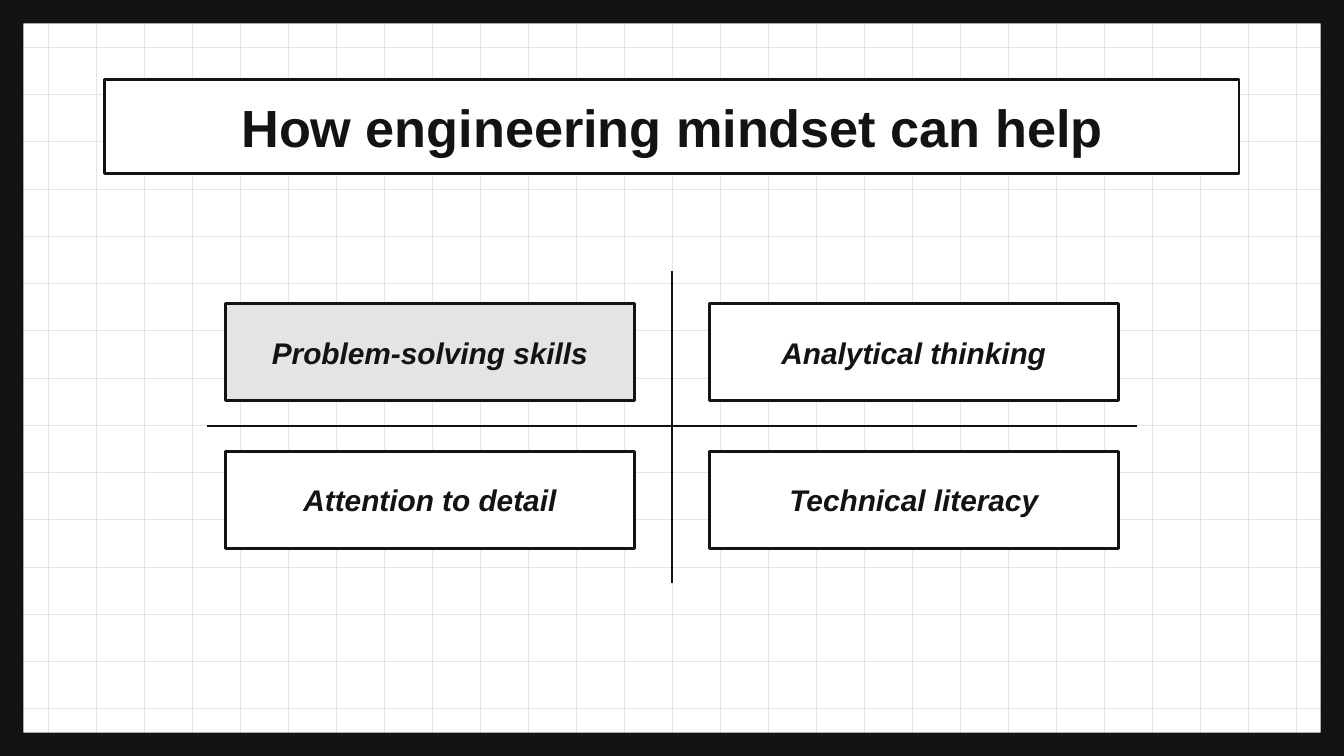
from pptx import Presentation
from pptx.dml.color import RGBColor
from pptx.enum import shapes, text
from pptx.oxml.ns import qn
from pptx.util import Inches, Pt
from lxml import etree

INK = RGBColor(0x13, 0x13, 0x13)
GRAY = RGBColor(0xE4, 0xE4, 0xE4)
WHITE = RGBColor(0xFF, 0xFF, 0xFF)
FONT = "Arial"

TITLE = "How engineering mindset can help"
SKILLS = [
    [("Problem-solving skills", GRAY), ("Analytical thinking", WHITE)],
    [("Attention to detail", WHITE), ("Technical literacy", WHITE)],
]

WIDTH = 10
HEIGHT = WIDTH * 9 / 16
GRID_COLUMNS, GRID_ROWS = 28, 16
CARD_WIDTH, CARD_HEIGHT = 3.04, 0.72
CARD_LEFT, CARD_TOP = 1.68, 2.26
COLUMN_STEP, ROW_STEP = 3.6, 1.1


def add_line(slide, x1, y1, x2, y2, color, weight):
    line = slide.shapes.add_connector(
        shapes.MSO_CONNECTOR.STRAIGHT,
        Inches(x1), Inches(y1), Inches(x2), Inches(y2))
    line.line.color.rgb = color
    line.line.width = Pt(weight)
    etree.SubElement(line._element.spPr, qn("a:effectLst"))


def add_box(slide, label, left, top, width, height, fill, size, italic=False):
    box = slide.shapes.add_shape(
        shapes.MSO_SHAPE.RECTANGLE,
        Inches(left), Inches(top), Inches(width), Inches(height))
    box.shadow.inherit = False
    box.fill.solid()
    box.fill.fore_color.rgb = fill
    box.line.color.rgb = INK
    box.line.width = Pt(1.5)

    frame = box.text_frame
    frame.text = label
    frame.word_wrap = True
    frame.vertical_anchor = text.MSO_ANCHOR.MIDDLE
    frame.margin_left = frame.margin_right = Inches(0.1)
    frame.margin_top = frame.margin_bottom = Inches(0.1)
    paragraph = frame.paragraphs[0]
    paragraph.alignment = text.PP_ALIGN.CENTER
    font = paragraph.runs[0].font
    font.name = FONT
    font.size = Pt(size)
    font.bold = True
    font.italic = italic
    font.color.rgb = INK


def add_background(slide):
    """Draw the squared paper and the dark frame around it."""
    slide.background.fill.solid()
    slide.background.fill.fore_color.rgb = WHITE
    for row in range(1, GRID_ROWS):
        y = HEIGHT * row / GRID_ROWS
        add_line(slide, 0, y, WIDTH, y, GRAY, 0.38)
    for column in range(1, GRID_COLUMNS):
        x = WIDTH * column / GRID_COLUMNS
        add_line(slide, x, 0, x, HEIGHT, GRAY, 0.38)

    border = slide.shapes.add_shape(
        shapes.MSO_SHAPE.FRAME, 0, 0, Inches(WIDTH), Inches(HEIGHT))
    border.adjustments[0] = 0.031
    border.shadow.inherit = False
    border.fill.solid()
    border.fill.fore_color.rgb = INK
    border.line.fill.background()


def main():
    deck = Presentation()
    deck.slide_width, deck.slide_height = Inches(WIDTH), Inches(HEIGHT)
    slide = deck.slides.add_slide(deck.slide_layouts[6])

    add_background(slide)
    add_box(slide, TITLE, 0.78, 0.59, 8.44, 0.7, WHITE, 28)
    add_line(slide, 5, 2.02, 5, 4.34, INK, 1.5)
    add_line(slide, 1.54, 3.17, 8.46, 3.17, INK, 1.5)
    for row, skills in enumerate(SKILLS):
        for column, (skill, fill) in enumerate(skills):
            add_box(slide, skill,
                    CARD_LEFT + column * COLUMN_STEP,
                    CARD_TOP + row * ROW_STEP,
                    CARD_WIDTH, CARD_HEIGHT, fill, 16, italic=True)

    deck.save("out.pptx")


if __name__ == "__main__":
    main()
